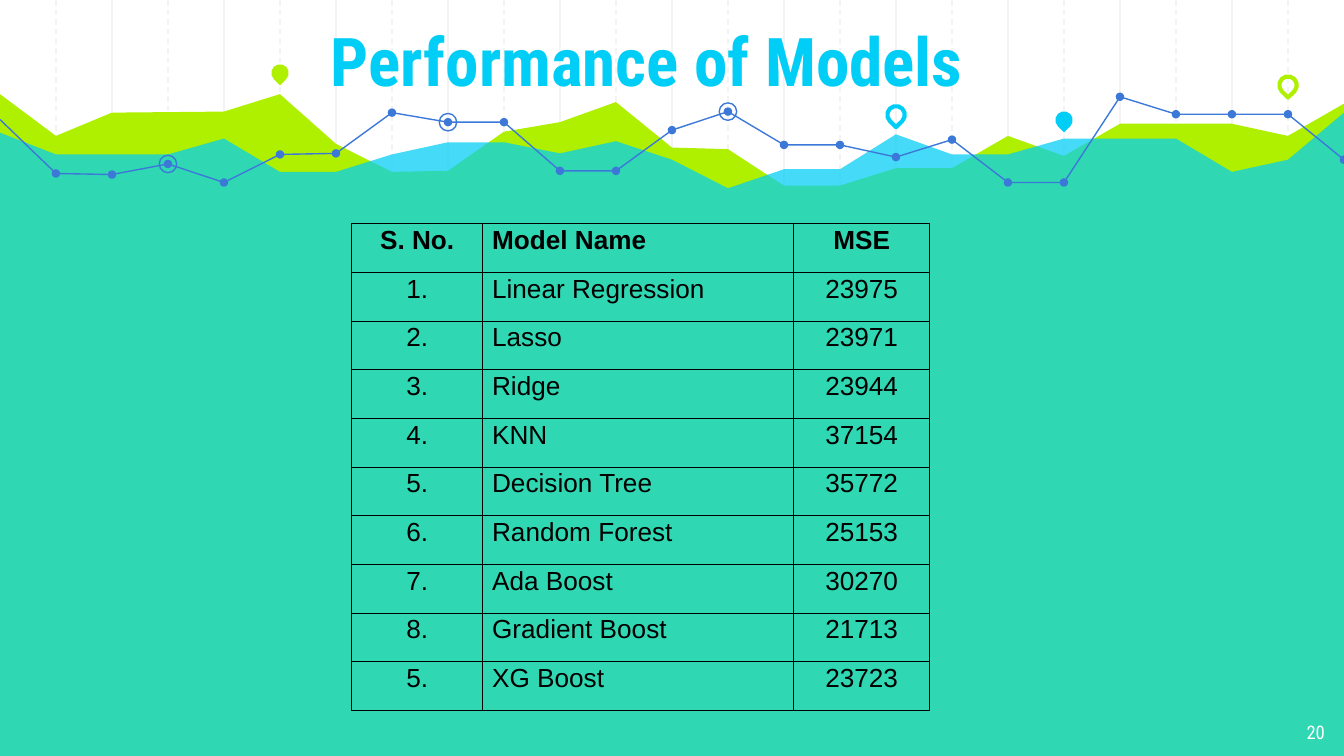
import pptx
import pptx.chart.data
import pptx.dml.color
import pptx.enum.dml
import pptx.enum.shapes
import pptx.enum.text
import pptx.oxml
import pptx.oxml.ns
import pptx.util
from pptx.util import Cm

WIDTH, HEIGHT = 25.4, 14.29
COLS = 24
STEP = WIDTH / COLS
GREEN, CYAN, BLUE, GREY = "AFF000", "00CEF6", "3C78D8", "F3F3F3"
FONT = "Roboto Condensed"
KIND = pptx.enum.shapes.MSO_SHAPE
ALIGN = pptx.enum.text.PP_ALIGN
ANCHOR = pptx.enum.text.MSO_ANCHOR

# Heights in cm, keyed by grid column
HILLS = {0: 1.78, 1: 2.57, 2: 2.13, 4: 2.11, 5: 1.78, 6: 2.72, 7: 3.25,
         8: 3.23, 9: 2.49, 10: 2.31, 11: 1.93, 12: 2.79, 13: 2.82, 14: 3.51,
         15: 3.51, 16: 3.18, 17: 3.18, 18: 2.57, 19: 2.95, 20: 2.34,
         22: 2.34, 23: 2.57, 24: 1.96}
WAVES = {0: 2.51, 1: 2.92, 3: 2.92, 4: 2.62, 5: 3.25, 6: 3.25, 7: 2.92,
         8: 2.69, 9: 2.69, 10: 2.9, 11: 2.67, 12: 3.02, 13: 3.56, 14: 3.2,
         15: 3.2, 16: 2.54, 17: 2.92, 18: 2.92, 19: 2.62, 21: 2.62,
         22: 3.25, 23: 3.02, 24: 2.13}
TREND = [2.26, 3.28, 3.3, 3.1, 3.45, 2.92, 2.9, 2.13, 2.31, 2.31, 3.23, 3.23,
         2.46, 2.11, 2.74, 2.74, 2.97, 2.64, 3.45, 3.45, 1.83, 2.16, 2.16,
         2.16, 3.02]
ROWS = [
    ("S. No.", "Model Name", "MSE"),
    ("1.", "Linear Regression", "23975"),
    ("2.", "Lasso", "23971"),
    ("3.", "Ridge", "23944"),
    ("4.", "KNN", "37154"),
    ("5.", "Decision Tree", "35772"),
    ("6.", "Random Forest", "25153"),
    ("7.", "Ada Boost", "30270"),
    ("8.", "Gradient Boost", "21713"),
    ("5.", "XG Boost", "23723"),
]


def rgb(code):
    return pptx.dml.color.RGBColor.from_string(code)


def paint(shape, fill=None, line=None, weight=0.75, alpha=None):
    shape.shadow.inherit = False
    if fill:
        shape.fill.solid()
        shape.fill.fore_color.rgb = rgb(fill)
        if alpha:
            tone = shape.fill._xPr.find(".//" + pptx.oxml.ns.qn("a:srgbClr"))
            tone.append(pptx.oxml.parse_xml(
                f'<a:alpha {pptx.oxml.ns.nsdecls("a")} val="{alpha * 1000}"/>'))
    else:
        shape.fill.background()
    if line:
        shape.line.color.rgb = rgb(line)
        shape.line.width = pptx.util.Pt(weight)
    else:
        shape.line.fill.background()


def write(frame, text, size=14, font="Arial", color="000000", bold=False,
          align=ALIGN.LEFT, spacing=None, after=None):
    para = frame.paragraphs[0]
    para.alignment = align
    if spacing:
        para.line_spacing = spacing
    if after:
        para.space_after = pptx.util.Pt(after)
    run = para.add_run()
    run.text = text
    run.font.size = pptx.util.Pt(size)
    run.font.name = font
    run.font.bold = bold
    run.font.color.rgb = rgb(color)


def add_box(slide, left, top, width, height, text, anchor=ANCHOR.TOP, **style):
    box = slide.shapes.add_textbox(Cm(left), Cm(top), Cm(width), Cm(height))
    frame = box.text_frame
    frame.word_wrap = True
    frame.vertical_anchor = anchor
    frame.margin_left = frame.margin_right = Cm(0.25)
    frame.margin_top = frame.margin_bottom = Cm(0.25)
    write(frame, text, **style)


def add_rule(slide, col, dashed):
    x = Cm(col * STEP)
    rule = slide.shapes.add_connector(
        pptx.enum.shapes.MSO_CONNECTOR.STRAIGHT, x, 0, x, Cm(HEIGHT))
    rule.line.color.rgb = rgb(GREY)
    rule.line.width = pptx.util.Pt(0.75)
    if dashed:
        rule.line.dash_style = pptx.enum.dml.MSO_LINE.DASH
    rule._element.spPr.append(pptx.oxml.parse_xml(
        f'<a:effectLst {pptx.oxml.ns.nsdecls("a")}/>'))


def add_path(slide, points, close, **style):
    """Draw through (column, height) points."""
    spots = [(Cm(col * STEP), Cm(y)) for col, y in points]
    path = slide.shapes.build_freeform(*spots[0])
    path.add_line_segments(spots[1:], close=close)
    paint(path.convert_to_shape(), **style)


def add_area(slide, tops, **style):
    points = [*tops.items(), (COLS, HEIGHT), (0, HEIGHT)]
    add_path(slide, points, True, **style)


def add_mark(slide, kind, col, y, size, turn=0, **style):
    """Centre a small shape on a grid column."""
    mark = slide.shapes.add_shape(kind, Cm(col * STEP - size / 2),
                                  Cm(y - size / 2), Cm(size), Cm(size))
    mark.rotation = turn
    paint(mark, **style)


def add_edges(cell):
    props = cell._tc.get_or_add_tcPr()
    for side in "LRTB":
        props.append(pptx.oxml.parse_xml(
            f'<a:ln{side} {pptx.oxml.ns.nsdecls("a")} w="9525"><a:solidFill>'
            f'<a:srgbClr val="000000"/></a:solidFill></a:ln{side}>'))


def add_grid(slide, left, top, widths, height):
    table = slide.shapes.add_table(
        len(ROWS), len(widths), Cm(left), Cm(top),
        Cm(sum(widths)), Cm(height * len(ROWS))).table
    table.first_row = table.horz_banding = False
    for column, width in zip(table.columns, widths):
        column.width = Cm(width)
    for r, row in enumerate(ROWS):
        table.rows[r].height = Cm(height)
        for c, text in enumerate(row):
            cell = table.cell(r, c)
            add_edges(cell)
            cell.fill.background()
            cell.margin_left = cell.margin_right = Cm(0.18)
            cell.margin_top = cell.margin_bottom = 0
            write(cell.text_frame, text, bold=r == 0, spacing=1.07, after=12,
                  align=ALIGN.LEFT if c == 1 else ALIGN.CENTER)


def add_scene(slide):
    for first in (2, 1):
        for col in range(first, COLS, 2):
            add_rule(slide, col, dashed=first == 1)
    add_area(slide, HILLS, fill=GREEN)
    add_area(slide, WAVES, fill=CYAN, alpha=73)

    trend = list(enumerate(TREND))
    for start, end in ((0, 11), (11, 20), (20, COLS)):
        add_path(slide, trend[start:end + 1], False, line=BLUE)
    for col, y in trend[1:]:
        add_mark(slide, KIND.OVAL, col, y, 0.16, fill=BLUE)
    for col in (3, 8, 13):
        add_mark(slide, KIND.OVAL, col, TREND[col], 0.33, line=BLUE)

    pins = [(5, 1.38, {"fill": GREEN}), (16, 2.17, {"line": CYAN}),
            (19, 2.27, {"fill": CYAN}), (23, 1.61, {"line": GREEN})]
    for col, y, style in pins:
        add_mark(slide, KIND.TEAR, col, y, 0.33, turn=135, weight=2.25, **style)


def main():
    deck = pptx.Presentation()
    deck.slide_width, deck.slide_height = Cm(WIDTH), Cm(HEIGHT)
    slide = deck.slides.add_slide(deck.slide_layouts[6])
    add_scene(slide)
    add_box(slide, 23.77, 13.41, 1.52, 0.89, "20", size=10, font=FONT,
            color="FFFFFF", align=ALIGN.RIGHT)
    add_box(slide, 3.07, -1.09, 18.31, 3.23, "Performance of Models",
            anchor=ANCHOR.BOTTOM, size=36, font=FONT, color=CYAN, bold=True,
            align=ALIGN.CENTER)
    add_grid(slide, 6.65, 4.23, (2.47, 5.88, 2.57), 0.92)
    deck.save("out.pptx")


if __name__ == "__main__":
    main()
